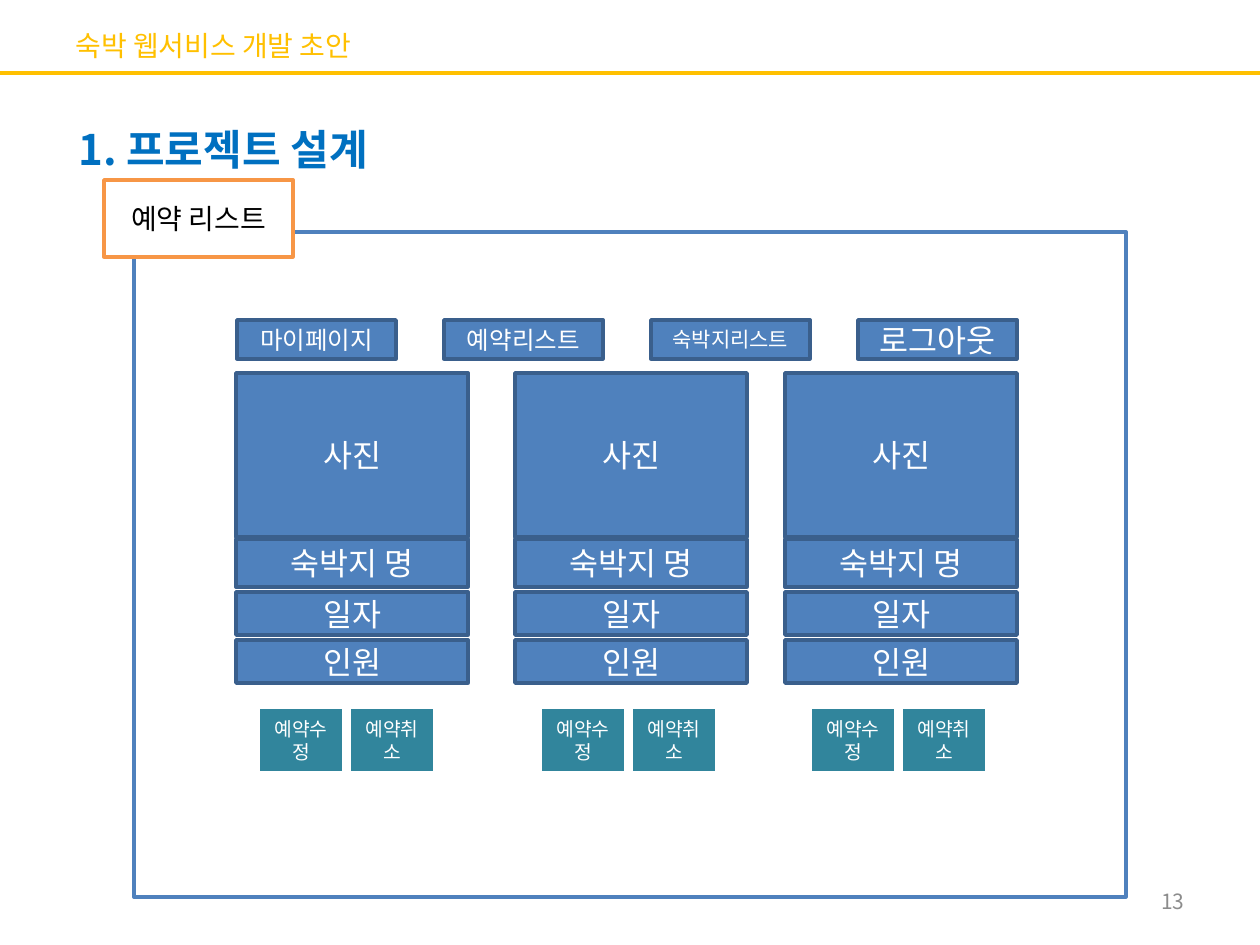
from dataclasses import dataclass

from lxml import etree
from pptx import Presentation
from pptx import util as u
from pptx.dml.color import RGBColor
from pptx.enum import shapes, text
from pptx.oxml.ns import qn

EMU_PER_PX = 914400 / 126
FONT = "Noto Sans CJK KR"
WHITE, BLUE, NAVY, TEAL, GOLD = "FFFFFF", "4F81BD", "3A5F8C", "31859C", "FFC000"


@dataclass
class Box:
    x: int
    y: int
    w: int
    h: int


@dataclass
class Style:
    fill: str
    line: str
    color: str = WHITE


@dataclass
class Row:
    label: str
    y: int
    h: int


@dataclass
class Column:
    x: int
    button_x: int


PANEL = Style(WHITE, BLUE)
LABEL = Style(WHITE, "F79646", "000000")
ITEM = Style(BLUE, NAVY)
BUTTON = Style(TEAL, WHITE)

TABS = [("마이페이지", 14), ("예약리스트", 14), ("숙박지리스트", 12), ("로그아웃", 18)]
ROWS = [Row("사진", 373, 164), Row("숙박지 명", 539, 48),
        Row("일자", 592, 43), Row("인원", 640, 43)]
COLUMNS = [Column(236, 258), Column(515, 540), Column(785, 810)]
BUTTONS = ["예약수정", "예약취소"]


def px(n: int) -> u.Emu:
    return u.Emu(round(n * EMU_PER_PX))


def rgb(value: str) -> RGBColor:
    return RGBColor.from_string(value)


def place(sp, box: Box) -> None:
    sp.left, sp.top, sp.width, sp.height = map(px, (box.x, box.y, box.w, box.h))


def write(tf, words: str, size: int, color: str, align, bold: bool = False) -> None:
    p = tf.paragraphs[0]
    p.alignment = align
    r = p.add_run()
    r.text = words
    r.font.size, r.font.bold, r.font.name = u.Pt(size), bold, FONT
    r.font.color.rgb = rgb(color)
    ea = etree.SubElement(r.font._element, qn("a:ea"))
    ea.set("typeface", FONT)


def add_box(s, box: Box, style: Style, words: str = "", size: int = 18) -> None:
    sp = s.shapes.add_shape(shapes.MSO_SHAPE.RECTANGLE, 0, 0, 0, 0)
    place(sp, box)
    sp.shadow.inherit = False
    sp.fill.solid()
    sp.fill.fore_color.rgb = rgb(style.fill)
    sp.line.color.rgb = rgb(style.line)
    sp.line.width = u.Pt(2)
    if words:
        tf = sp.text_frame
        tf.word_wrap = True
        tf.vertical_anchor = text.MSO_ANCHOR.MIDDLE
        write(tf, words, size, style.color, text.PP_ALIGN.CENTER)


def add_text(s, box: Box, words: str, size: int, color: str, align,
             bold: bool = False, wrap: bool = True):
    sp = s.shapes.add_textbox(0, 0, 0, 0)
    place(sp, box)
    sp.text_frame.word_wrap = wrap
    write(sp.text_frame, words, size, color, align, bold)
    return sp.text_frame


def add_header(s) -> None:
    rule = s.shapes.add_connector(
        shapes.MSO_CONNECTOR.STRAIGHT, 0, px(73), px(1260), px(73))
    rule.line.color.rgb = rgb(GOLD)
    rule.line.width = u.Pt(2.25)
    etree.SubElement(rule._element.spPr, qn("a:effectLst"))

    title = s.shapes.title
    place(title, Box(63, 16, 1134, 59))
    title.text_frame.vertical_anchor = text.MSO_ANCHOR.MIDDLE
    write(title.text_frame, "숙박 웹서비스 개발 초안", 16, GOLD, text.PP_ALIGN.LEFT)


def main() -> None:
    prs = Presentation()
    prs.slide_width, prs.slide_height = px(1260), px(945)
    s = prs.slides.add_slide(prs.slide_layouts[5])

    add_header(s)
    add_box(s, Box(134, 232, 992, 665), PANEL)
    for i, (words, size) in enumerate(TABS):
        add_box(s, Box(237 + 207 * i, 320, 159, 39), ITEM, words, size)

    heading = add_text(s, Box(66, 117, 345, 63), "1. 프로젝트 설계", 24, "0070C0",
                       text.PP_ALIGN.LEFT, bold=True, wrap=False)
    heading.auto_size = text.MSO_AUTO_SIZE.SHAPE_TO_FIT_TEXT
    number = add_text(s, Box(903, 876, 294, 50), "13", 12, "8C8C8C",
                      text.PP_ALIGN.RIGHT)
    number.vertical_anchor = text.MSO_ANCHOR.MIDDLE
    add_box(s, Box(104, 180, 189, 77), LABEL, "예약 리스트", 16)

    for column in COLUMNS:
        for row in ROWS:
            add_box(s, Box(column.x, row.y, 232, row.h), ITEM, row.label)
        for i, words in enumerate(BUTTONS):
            add_box(s, Box(column.button_x + 91 * i, 707, 86, 66), BUTTON, words, 11)

    prs.save("out.pptx")


if __name__ == "__main__":
    main()
